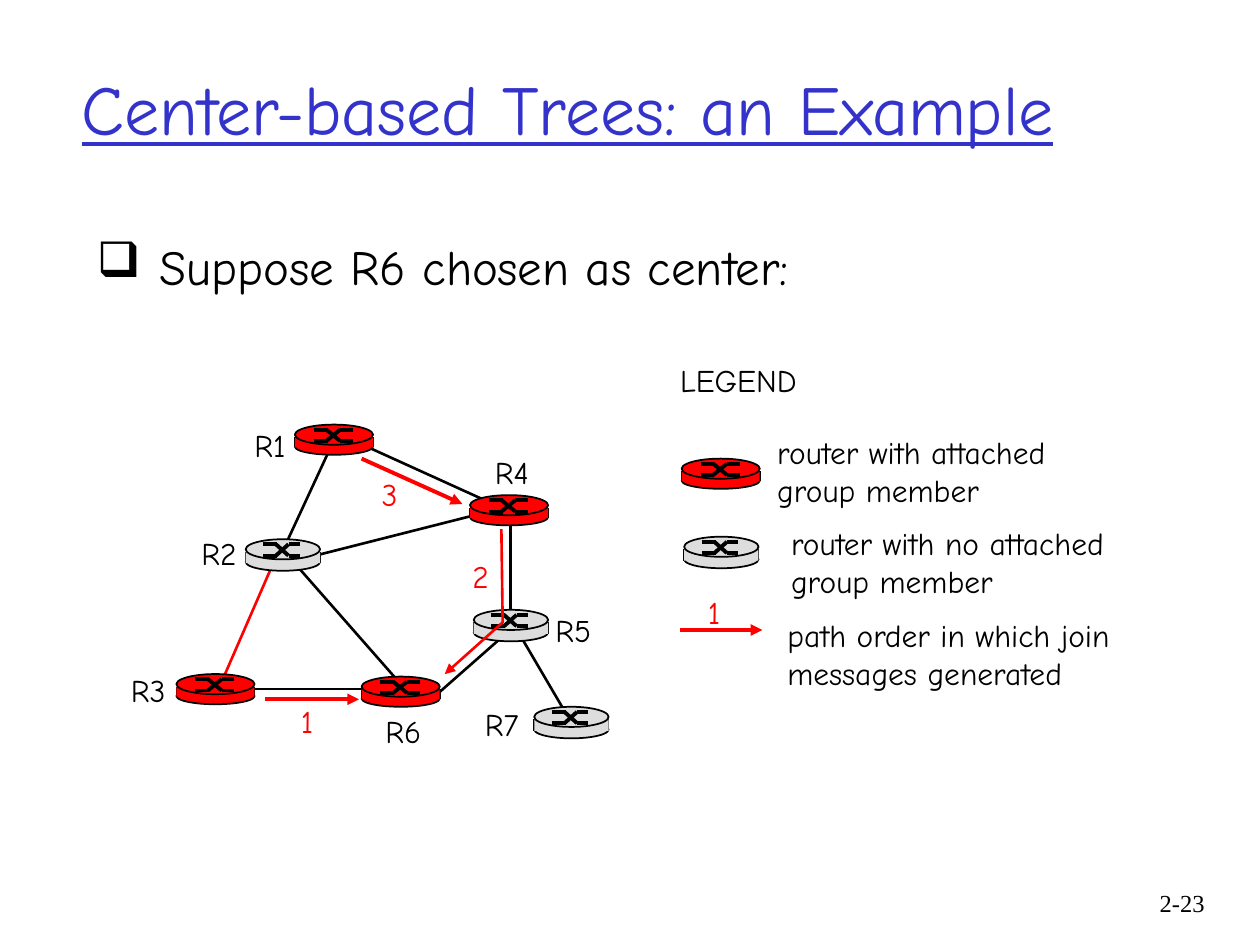
from dataclasses import dataclass

from lxml.etree import SubElement
from pptx import Presentation
from pptx.dml.color import RGBColor
from pptx.enum.shapes import MSO_CONNECTOR, MSO_SHAPE
from pptx.enum.text import MSO_ANCHOR, MSO_AUTO_SIZE, PP_ALIGN
from pptx.oxml.ns import qn
from pptx.shapes.autoshape import Shape
from pptx.util import Pt

EMU_PER_PX = 9144  # 100 px to the inch


@dataclass(frozen=True)
class Theme:
    black: RGBColor = RGBColor(0x00, 0x00, 0x00)
    red: RGBColor = RGBColor(0xFF, 0x00, 0x00)
    grey: RGBColor = RGBColor(0xDD, 0xDD, 0xDD)
    blue: RGBColor = RGBColor(0x33, 0x33, 0xCC)
    font: str = "Comic Neue"
    number_font: str = "Times New Roman"
    title_size: int = 40
    body_size: int = 28
    label_size: int = 18
    number_size: int = 14
    outline: float = 1
    link: float = 1.5
    bold_line: float = 2.25


THEME = Theme()


@dataclass(frozen=True)
class Router:
    left: int
    top: int
    member: bool


@dataclass(frozen=True)
class Line:
    x1: int
    y1: int
    x2: int
    y2: int
    color: RGBColor = THEME.black
    weight: float = THEME.link
    arrow: bool = False


@dataclass(frozen=True)
class Label:
    left: int
    top: int
    width: int
    lines: tuple[str, ...]
    height: int = 40
    size: int = THEME.label_size
    color: RGBColor = THEME.black
    font: str = THEME.font
    wrap: bool = False


ROUTERS = [
    Router(287, 537, True),
    Router(373, 393, True),
    Router(140, 535, True),
    Router(376, 484, False),
    Router(195, 428, False),
    Router(234, 337, True),
    Router(424, 561, False),
    Router(541, 364, True),
    Router(543, 426, False),
]

LINKS = [
    Line(408, 496, 452, 571),
    Line(254, 440, 404, 402),
    Line(225, 437, 319, 544),
    Line(290, 354, 398, 403),
    Line(348, 550, 406, 499),
    Line(405, 414, 405, 492),
    Line(189, 547, 301, 547),
    Line(216, 449, 176, 541, THEME.red),
    Line(262, 356, 224, 438),
]

JOIN_ARROWS = [
    Line(*ends, THEME.red, THEME.bold_line, True)
    for ends in ((540, 500, 605, 500), (210, 555, 285, 555), (287, 364, 367, 400))
]
JOIN_BEND = [(398, 420), (399, 494), (353, 535)]

LABELS = [
    Label(192, 333, 47, ("R1",)),
    Label(150, 419, 51, ("R2",)),
    Label(94, 528, 51, ("R3",)),
    Label(383, 355, 51, ("R4",)),
    Label(431, 480, 51, ("R5",)),
    Label(296, 560, 51, ("R6",)),
    Label(375, 555, 51, ("R7",)),
    Label(530, 282, 120, ("LEGEND",)),
    Label(607, 339, 266, ("router with attached", "group member"), 70),
    Label(618, 411, 300, ("router with no attached", "group member"), 70),
    Label(615, 484, 331, ("path order in which join messages generated",), 70, wrap=True),
    Label(365, 437, 35, ("2",), color=THEME.red),
    Label(552, 466, 31, ("1",), color=THEME.red),
    Label(293, 372, 35, ("3",), color=THEME.red),
    Label(229, 552, 31, ("1",), color=THEME.red),
]

TITLE = Label(55, 31, 904, ("Center-based Trees: an Example",), 108,
              THEME.title_size, THEME.blue, wrap=True)
STATEMENT = Label(67, 183, 875, ("Suppose R6 chosen as center:",), 508,
                  THEME.body_size, wrap=True)
SLIDE_NUMBER = Label(892, 700, 74, ("2-23",), 50, THEME.number_size,
                     font=THEME.number_font, wrap=True)


def px(length: int) -> int:
    return length * EMU_PER_PX


def add_arrowhead(shape) -> None:
    SubElement(shape.element.spPr.find(qn("a:ln")), qn("a:tailEnd"), type="triangle")


def draw_line(shapes, line: Line) -> None:
    connector = shapes.add_connector(
        MSO_CONNECTOR.STRAIGHT, px(line.x1), px(line.y1), px(line.x2), px(line.y2))
    connector.line.color.rgb = line.color
    connector.line.width = Pt(line.weight)
    if line.arrow:
        add_arrowhead(connector)
    SubElement(connector.element.spPr, qn("a:effectLst"))


def draw_solid(shapes, preset: MSO_SHAPE, box: tuple[int, int, int, int],
               color: RGBColor, outlined: bool = True) -> None:
    solid = shapes.add_shape(preset, *map(px, box))
    solid.shadow.inherit = False
    solid.fill.solid()
    solid.fill.fore_color.rgb = color
    if outlined:
        solid.line.color.rgb = THEME.black
        solid.line.width = Pt(THEME.outline)
    else:
        solid.line.fill.background()


def draw_router(shapes, router: Router) -> None:
    """Draw a flat cylinder with two crossing switch paths on its top face."""
    parts = shapes.add_group_shape().shapes
    left, top = router.left, router.top
    color, width, wall = (THEME.red, 62, 8) if router.member else (THEME.grey, 59, 9)
    draw_solid(parts, MSO_SHAPE.OVAL, (left, top + 11, width, wall + 5), color)
    for side in (left, left + width):
        draw_line(parts, Line(side, top + 10, side, top + 10 + wall, weight=THEME.outline))
    draw_solid(parts, MSO_SHAPE.RECTANGLE, (left, top + 10, width, wall), color, False)
    draw_solid(parts, MSO_SHAPE.OVAL, (left, top, width, 16), color)

    start, cross_start, bend, cross_end, end = (
        left + round(width * share) for share in (0.24, 0.405, 0.42, 0.58, 0.735))
    for near, far in ((top + 4, top + 13), (top + 13, top + 4)):
        for x1, y1, x2, y2 in ((start, near, bend, near),
                               (cross_start, near, cross_end, far),
                               (cross_end, far, end, far)):
            draw_line(parts, Line(x1, y1, x2, y2, weight=THEME.bold_line))


def draw_label(shapes, label: Label) -> Shape:
    box = shapes.add_textbox(*map(px, (label.left, label.top, label.width, label.height)))
    frame = box.text_frame
    frame.word_wrap = label.wrap
    frame.auto_size = MSO_AUTO_SIZE.NONE
    for index, text in enumerate(label.lines):
        paragraph = frame.add_paragraph() if index else frame.paragraphs[0]
        run = paragraph.add_run()
        run.text = text
        run.font.name = label.font
        run.font.size = Pt(label.size)
        run.font.color.rgb = label.color
    return box


def draw_join_bend(shapes) -> None:
    start, *bends = [(px(x), px(y)) for x, y in JOIN_BEND]
    builder = shapes.build_freeform(*start)
    builder.add_line_segments(bends, close=False)
    join_path = builder.convert_to_shape()
    join_path.shadow.inherit = False
    join_path.fill.background()
    join_path.line.color.rgb = THEME.red
    join_path.line.width = Pt(THEME.link)
    add_arrowhead(join_path)


def draw_headings(shapes) -> None:
    title = draw_label(shapes, TITLE).text_frame
    title.vertical_anchor = MSO_ANCHOR.MIDDLE
    title.paragraphs[0].runs[0].font.underline = True

    statement = draw_label(shapes, STATEMENT).text_frame.paragraphs[0]
    properties = statement._p.get_or_add_pPr()
    properties.set("marL", str(px(50)))
    properties.set("indent", str(px(-50)))
    SubElement(properties, qn("a:buChar"), char="❑")

    number = draw_label(shapes, SLIDE_NUMBER).text_frame.paragraphs[0]
    number.alignment = PP_ALIGN.RIGHT


def main() -> None:
    presentation = Presentation()
    presentation.slide_width, presentation.slide_height = px(1000), px(750)
    shapes = presentation.slides.add_slide(presentation.slide_layouts[6]).shapes
    draw_headings(shapes)
    for link in LINKS:
        draw_line(shapes, link)
    for router in ROUTERS:
        draw_router(shapes, router)
    for label in LABELS:
        draw_label(shapes, label)
    draw_join_bend(shapes)
    for arrow in JOIN_ARROWS:
        draw_line(shapes, arrow)
    presentation.save("out.pptx")


if __name__ == "__main__":
    main()
